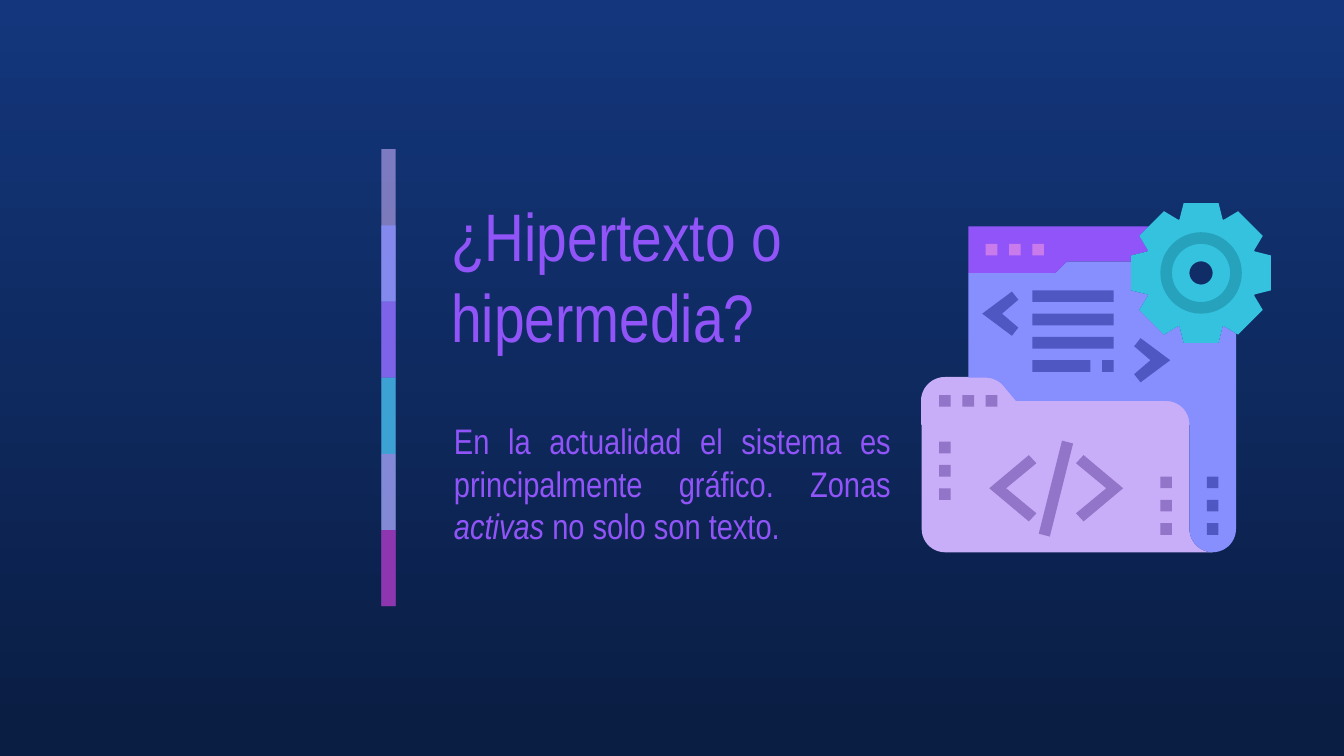
from math import cos, radians, sin

from lxml.etree import SubElement
from pptx import Presentation
from pptx.dml.color import RGBColor
from pptx.enum.shapes import MSO_SHAPE
from pptx.enum.text import MSO_ANCHOR, MSO_AUTO_SIZE, PP_ALIGN
from pptx.oxml.ns import qn
from pptx.util import Cm, Pt

THEME = {
    "font": "Arial Narrow", "title_size": 36, "body_size": 19,
    "sky": "13367C", "night": "0A1D42", "violet": "9154F8", "lilac": "C8AEF8",
    "blue": "878FFF", "indigo": "4F57C3", "purple": "9275C8", "pink": "CA7BEB",
    "magenta": "972CB4", "cyan": "35C2DF", "teal": "26A2BC",
}
TITLE = [("¿Hipertexto o hipermedia?", False)]
BODY = [
    ("En la actualidad el sistema es principalmente gráfico. Zonas ", False),
    ("activas", True),
    (" no solo son texto.", False),
]
TITLE_BOX = (8.28, 3.25, 9.02, 3.89)
BODY_BOX = (8.33, 7.82, 8.76, 2.62)

BARS = [("lilac", 59), ("blue", 74), ("violet", 53),
        ("cyan", 76), ("pink", 56), ("magenta", 74)]
BAR_LEFT, BAR_TOP, BAR_WIDTH, BAR_STEP = 7.21, 2.82, 0.27, 1.44

ICON_LEFT, ICON_TOP, UNIT = 17.42, 3.84, 0.22
GEAR_CENTER = (24, 6)
TOOTH = [(-1.85, -4.6), (-1.5, -6), (1.5, -6), (1.85, -4.6)]
DONUTS = [("cyan", 3, 2), ("teal", 3.5, 1)]
DOT_ROWS = [
    ("pink", (5.5, 7.5, 9.5), (3.5,)),
    ("purple", (1.5, 3.5, 5.5), (16.5,)),
    ("purple", (1.5,), (20.5, 22.5, 24.5)),
    ("purple", (20.5,), (23.5, 25.5, 27.5)),
    ("indigo", (24.5,), (23.5, 25.5, 27.5)),
]
CODE_LINES = [(9.5, 7.5, 7), (9.5, 9.5, 7), (9.5, 11.5, 7),
              (9.5, 13.5, 5), (15.5, 13.5, 1)]
SMALL_BRACKET = [(2.55, -1.9), (0, 0), (2.55, 1.9), (3.1, 1.2), (1.7, 0), (3.1, -1.2)]
LARGE_BRACKET = [(3.4, -2.85), (0, 0), (3.4, 2.85), (4.05, 2.15), (1.45, 0), (4.05, -2.15)]
BRACKETS = [
    ("indigo", SMALL_BRACKET, 5.2, 9.5, 1),
    ("indigo", SMALL_BRACKET, 21.35, 13.5, -1),
    ("purple", LARGE_BRACKET, 17.3, 24.5, -1),
    ("purple", LARGE_BRACKET, 5.8, 24.5, 1),
]
SLASH = [(12.05, 20.4), (10.05, 28.4), (11, 28.65), (13, 20.65)]


def color(name):
    return RGBColor.from_string(THEME[name])


def paint(shape, name, alpha=None):
    shape.shadow.inherit = False
    shape.fill.solid()
    shape.fill.fore_color.rgb = color(name)
    shape.line.fill.background()
    if alpha is not None:
        value = next(shape.element.spPr.iter(qn("a:srgbClr")))
        SubElement(value, qn("a:alpha")).set("val", str(alpha * 1000))


def arc(x, y, radius, start, end):
    steps = max(8, abs(end - start) // 8)
    angles = [radians(start + (end - start) * i / steps) for i in range(steps + 1)]
    return [(x + radius * cos(a), y + radius * sin(a)) for a in angles]


def gear_outline():
    center_x, center_y = GEAR_CENTER
    turns = [radians(45 * i) for i in range(8)]
    return [(center_x + x * cos(a) - y * sin(a), center_y + x * sin(a) + y * cos(a))
            for a in turns for x, y in TOOTH]


def add_outline(group, name, *contours):
    builder = None
    for contour in contours:
        points = [(Cm(x * UNIT), Cm(y * UNIT)) for x, y in contour]
        if builder is None:
            builder = group.shapes.build_freeform(*points[0])
        else:
            builder.move_to(*points[0])
        builder.add_line_segments(points[1:], close=True)
    shape = builder.convert_to_shape(Cm(ICON_LEFT), Cm(ICON_TOP))
    paint(shape, name)
    return shape


def add_on_grid(group, kind, name, x, y, width, height):
    shape = group.shapes.add_shape(
        kind, Cm(ICON_LEFT + x * UNIT), Cm(ICON_TOP + y * UNIT),
        Cm(width * UNIT), Cm(height * UNIT))
    paint(shape, name)
    return shape


def add_bars(slide):
    group = slide.shapes.add_group_shape()
    for i, (name, alpha) in enumerate(BARS):
        height = BAR_STEP * min(2, len(BARS) - i)
        bar = group.shapes.add_shape(
            MSO_SHAPE.RECTANGLE, Cm(BAR_LEFT), Cm(BAR_TOP + i * BAR_STEP),
            Cm(BAR_WIDTH), Cm(height))
        paint(bar, name, alpha)


def add_icon(slide):
    group = slide.shapes.add_group_shape()
    gear = gear_outline()
    tab_corner = arc(5.5, 17, 2, 270, 323)
    folder_corner = arc(21, 19, 2, 270, 360)

    add_outline(group, "lilac", [(0, 19), *arc(2, 28, 2, 180, 90),
                                 *arc(25, 28, 2, 90, 180), (23, 19)])
    tab = add_outline(group, "lilac", [*arc(2, 17, 2, 180, 270), *tab_corner,
                                       (8.1, 17), *folder_corner, (0, 19)])
    tab.line.color.rgb = color("lilac")
    tab.line.width = Pt(0.75)
    add_outline(group, "blue", [
        (12.5, 5), (11.5, 6), (4, 6), (4, 15), *tab_corner, (8.1, 17),
        *folder_corner, *arc(25, 28, 2, 180, 0), (27, 11.2), *gear[15:26], (18, 5)])
    add_outline(group, "violet", [(4, 2), (4, 6), (11.5, 6), (12.5, 5), (18, 5),
                                  *gear[26:30], (19.5, 2)])
    add_outline(group, "cyan", gear, arc(*GEAR_CENTER, 3, 360, 0))

    center_x, center_y = GEAR_CENTER
    for name, radius, thickness in DONUTS:
        donut = add_on_grid(group, MSO_SHAPE.DONUT, name, center_x - radius,
                            center_y - radius, 2 * radius, 2 * radius)
        donut.adjustments[0] = thickness / (2 * radius)
    for name, columns, rows in DOT_ROWS:
        for x in columns:
            for y in rows:
                add_on_grid(group, MSO_SHAPE.RECTANGLE, name, x, y, 1, 1)
    for x, y, width in CODE_LINES:
        add_on_grid(group, MSO_SHAPE.RECTANGLE, "indigo", x, y, width, 1)
    for name, points, tip, middle, side in BRACKETS:
        add_outline(group, name, [(tip + side * x, middle + y) for x, y in points])
    add_outline(group, "purple", SLASH)


def write_text(shape, box, runs, size, alignment):
    for attribute, value in zip(("left", "top", "width", "height"), box):
        setattr(shape, attribute, Cm(value))
    frame = shape.text_frame
    frame_format = {
        "auto_size": MSO_AUTO_SIZE.NONE, "word_wrap": True,
        "vertical_anchor": MSO_ANCHOR.MIDDLE,
        "margin_left": Cm(0.25), "margin_right": Cm(0.25),
        "margin_top": Cm(0.25), "margin_bottom": Cm(0.25),
    }
    for attribute, value in frame_format.items():
        setattr(frame, attribute, value)
    paragraph = frame.paragraphs[0]
    paragraph.alignment = alignment
    for text, italic in runs:
        run = paragraph.add_run()
        run.text = text
        run_format = {"name": THEME["font"], "size": Pt(size), "italic": italic}
        for attribute, value in run_format.items():
            setattr(run.font, attribute, value)
        run.font.color.rgb = color("violet")


def main():
    presentation = Presentation()
    presentation.slide_width, presentation.slide_height = Cm(25.4), Cm(14.29)
    slide = presentation.slides.add_slide(presentation.slide_layouts[5])
    background = slide.background.fill
    background.gradient()
    background.gradient_angle = 270
    for stop, name in zip(background.gradient_stops, ("sky", "night")):
        stop.color.rgb = color(name)

    add_bars(slide)
    write_text(slide.shapes.title, TITLE_BOX, TITLE, THEME["title_size"], PP_ALIGN.LEFT)
    body = slide.shapes.add_textbox(*(Cm(value) for value in BODY_BOX))
    write_text(body, BODY_BOX, BODY, THEME["body_size"], PP_ALIGN.JUSTIFY)
    add_icon(slide)
    presentation.save("out.pptx")


if __name__ == "__main__":
    main()
